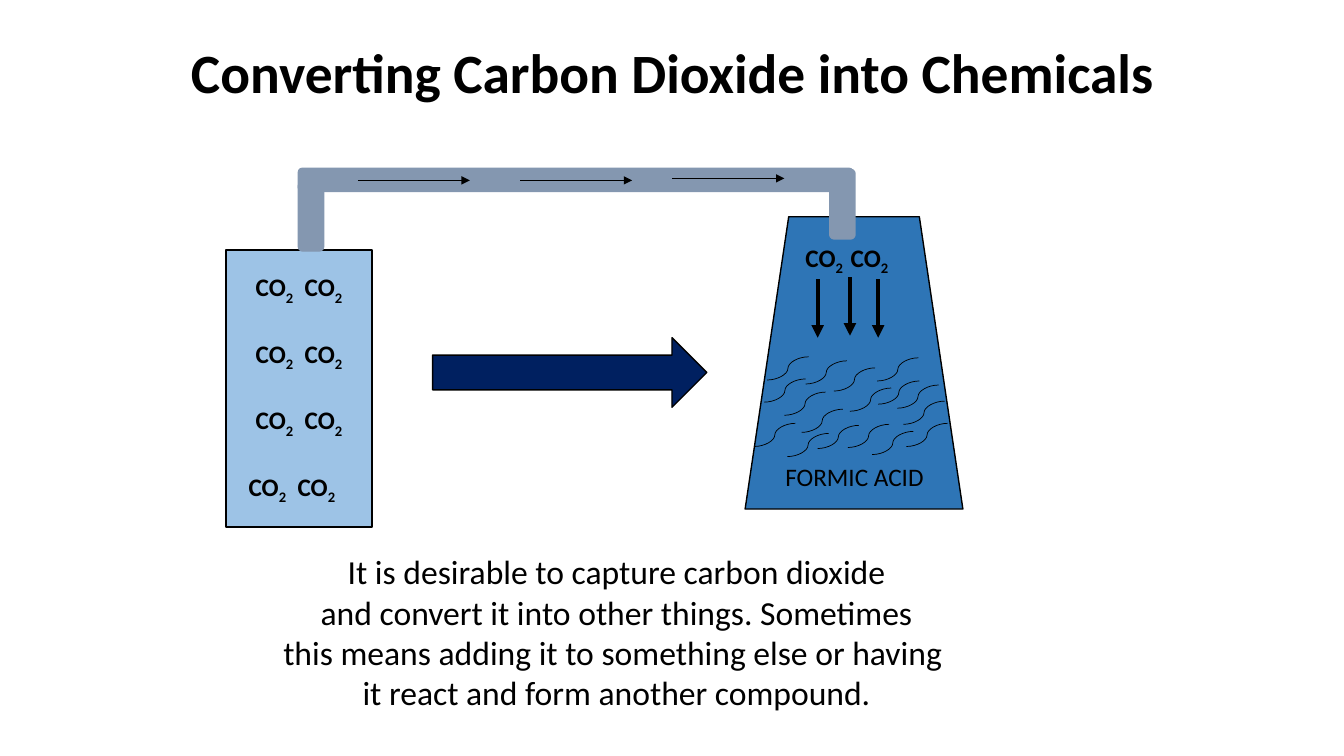
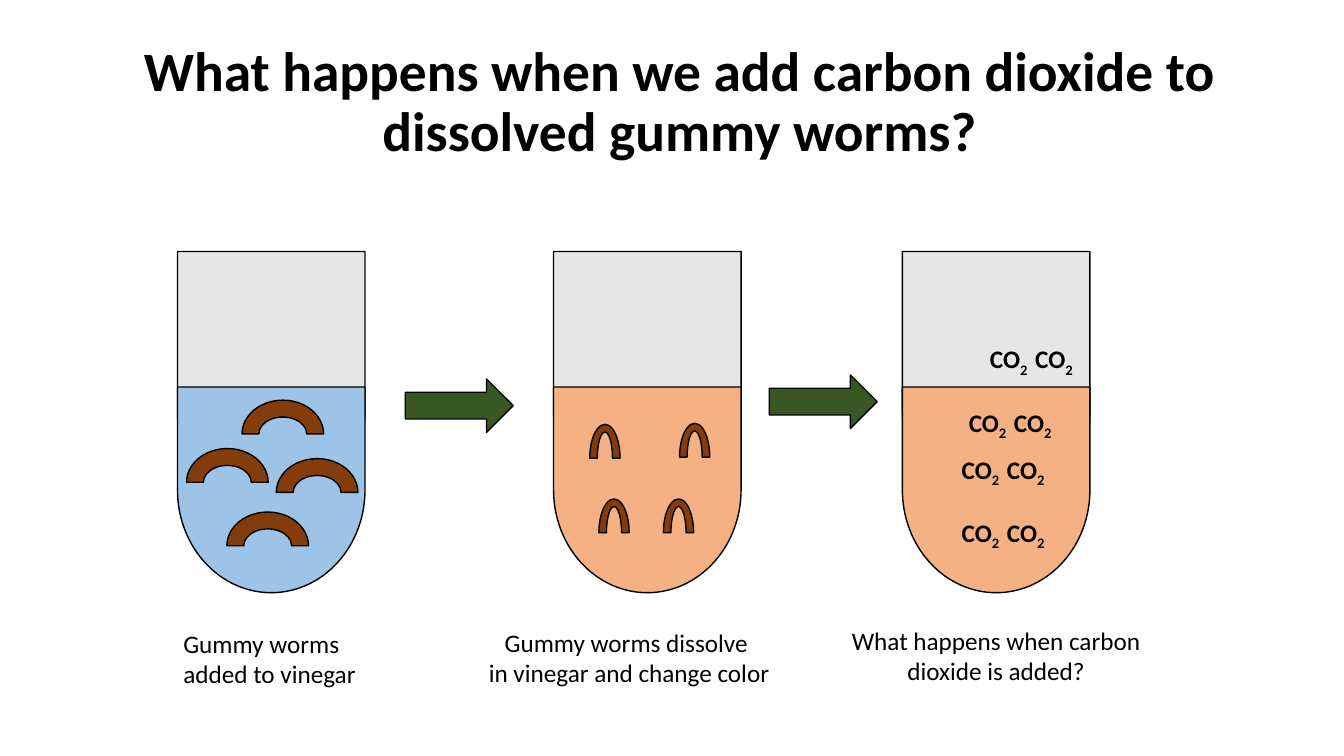
import dataclasses

import lxml.etree
import pptx
import pptx.dml.color
import pptx.enum.shapes
import pptx.enum.text
import pptx.oxml.ns
import pptx.util

Inches = pptx.util.Inches
Pt = pptx.util.Pt
SHAPE = pptx.enum.shapes.MSO_SHAPE
CONNECTOR = pptx.enum.shapes.MSO_CONNECTOR
ALIGN = pptx.enum.text.PP_ALIGN
ANCHOR = pptx.enum.text.MSO_ANCHOR


@dataclasses.dataclass(frozen=True)
class Theme:
    font: str = "Calibri"
    title_size: float = 39.6
    body_size: float = 24
    label_size: float = 18
    ink: str = "000000"
    light_blue: str = "9DC3E6"
    beaker_blue: str = "2E75B6"
    navy: str = "002060"
    pipe: str = "8497B0"
    glass: str = "E7E6E6"
    orange: str = "F4B183"
    worm: str = "843C0B"
    green: str = "385723"
    outline: float = 1
    thin: float = 0.5
    thick: float = 3


THEME = Theme()


def rgb(color):
    return pptx.dml.color.RGBColor.from_string(color)


# Text
def style_run(run, size, bold=False):
    run.font.name = THEME.font
    run.font.size = Pt(size)
    run.font.bold = bold
    run.font.color.rgb = rgb(THEME.ink)


def add_text(slide, left, top, width, height, lines, size, align=ALIGN.CENTER):
    box = slide.shapes.add_textbox(
        Inches(left), Inches(top), Inches(width), Inches(height))
    frame = box.text_frame
    frame.word_wrap = False
    frame.text = "\n".join(lines)
    for paragraph in frame.paragraphs:
        paragraph.alignment = align
        for run in paragraph.runs:
            style_run(run, size)
    return frame


def add_title(slide, left, top, text):
    frame = add_text(slide, left, top, 11.5, 0.7, [text], THEME.title_size)
    frame.word_wrap = True
    frame.vertical_anchor = ANCHOR.MIDDLE
    frame.paragraphs[0].line_spacing = 0.9
    style_run(frame.paragraphs[0].runs[0], THEME.title_size, bold=True)


def write_co2_pair(paragraph, gap_spacing):
    """Write two formulas; gap_spacing widens the space between them."""
    for piece in ("CO", "2", " ", "CO", "2"):
        run = paragraph.add_run()
        run.text = piece
        style_run(run, THEME.label_size, bold=True)
        properties = run._r.get_or_add_rPr()
        if piece == "2":
            properties.set("baseline", "-25000")
        elif piece == " ":
            properties.set("spc", str(int(gap_spacing * 100)))


def add_co2_label(slide, left, top):
    frame = add_text(slide, left, top, 1.09, 0.4, [""],
                     THEME.label_size, ALIGN.LEFT)
    write_co2_pair(frame.paragraphs[0], 1.3)


# Shapes and lines
def add_block(slide, kind, left, top, width, height, fill,
              line=THEME.ink, rotation=0):
    block = slide.shapes.add_shape(
        kind, Inches(left), Inches(top), Inches(width), Inches(height))
    block.shadow.inherit = False
    block.fill.solid()
    block.fill.fore_color.rgb = rgb(fill)
    block.line.color.rgb = rgb(line)
    block.line.width = Pt(THEME.outline)
    block.rotation = rotation
    return block


def add_line(slide, kind, start, end, width, arrow=False):
    line = slide.shapes.add_connector(
        kind, *(Inches(value) for value in (*start, *end)))
    line.line.color.rgb = rgb(THEME.ink)
    line.line.width = Pt(width)
    qn = pptx.oxml.ns.qn
    if arrow:
        outline = line.line._get_or_add_ln()
        lxml.etree.SubElement(outline, qn("a:tailEnd"), type="triangle")
    lxml.etree.SubElement(line._element.spPr, qn("a:effectLst"))


def add_tank(slide):
    tank = add_block(slide, SHAPE.RECTANGLE, 2.24, 2.48, 1.45, 2.75,
                     THEME.light_blue)
    frame = tank.text_frame
    frame.vertical_anchor = ANCHOR.MIDDLE
    for row in range(4):
        paragraph = frame.add_paragraph() if row else frame.paragraphs[0]
        paragraph.alignment = ALIGN.CENTER
        if row:
            paragraph.space_before = Pt(23)
        write_co2_pair(paragraph, 4)
    # The lowest pair sits a little to the left
    paragraph._p.get_or_add_pPr().set("marR", str(Inches(0.14)))


def add_tube(slide, center, liquid):
    """Stand a round-bottomed tube upright and fill its lower part."""
    width = 1.86
    for length, middle, color in ((3.11, 4.05, THEME.glass),
                                  (2.04, 4.86, liquid)):
        add_block(slide, SHAPE.FLOWCHART_DELAY, center - length / 2,
                  middle - width / 2, length, width, color, rotation=90)


def add_worms(slide, width, places):
    for left, top in places:
        add_block(slide, SHAPE.BLOCK_ARC, left, top, width, 0.67, THEME.worm)


def build_conversion_slide(slide):
    add_title(slide, 0.92, 0.4, "Converting Carbon Dioxide into Chemicals")

    # Tank, process arrow and beaker
    add_tank(slide)
    add_block(slide, SHAPE.RIGHT_ARROW, 4.29, 3.35, 2.72, 0.69, THEME.navy)
    add_block(slide, SHAPE.FLOWCHART_MANUAL_OPERATION, 7.39, 2.15, 2.16, 2.9,
              THEME.beaker_blue, rotation=180)

    # Ripples in the liquid
    ripples = ((7.58, 3.76), (7.78, 3.89), (7.95, 4.06), (7.99, 3.58),
               (8.11, 4.22), (8.43, 3.85), (8.71, 3.78), (8.96, 3.98),
               (8.99, 4.2), (7.48, 4.2), (7.81, 4.3), (8.41, 4.21),
               (8.65, 4.28), (8.27, 3.65), (7.61, 3.54), (8.7, 3.55),
               (8.9, 3.82))
    for left, top in ripples:
        add_line(slide, CONNECTOR.CURVE, (left + 0.41, top),
                 (left, top + 0.23), THEME.thin)
    add_text(slide, 7.69, 4.53, 1.59, 0.4, ["FORMIC ACID"],
             THEME.label_size, ALIGN.LEFT)

    # Pipe
    for place in ((2.96, 1.8, 0.25, 0.69), (2.96, 1.67, 5.5, 0.23),
                  (8.23, 1.68, 0.25, 0.69)):
        add_block(slide, SHAPE.ROUNDED_RECTANGLE, *place, THEME.pipe,
                  line=THEME.pipe)
    add_co2_label(slide, 7.89, 2.35)

    # Gas flow along the pipe and down into the beaker
    for left, top in ((3.55, 1.79), (5.16, 1.79), (6.67, 1.77)):
        add_line(slide, CONNECTOR.STRAIGHT, (left, top), (left + 1.11, top),
                 THEME.thin, arrow=True)
    for left, top in ((8.11, 2.77), (8.43, 2.75), (8.71, 2.77)):
        add_line(slide, CONNECTOR.STRAIGHT, (left, top), (left, top + 0.58),
                 THEME.thick, arrow=True)

    add_text(slide, 2.68, 5.42, 6.87, 1.72, [
        "It is desirable to capture carbon dioxide",
        "and convert it into other things. Sometimes",
        "this means adding it to something else or having ",
        "it react and form another compound.",
    ], THEME.body_size)


def build_worm_slide(slide):
    add_title(slide, 0.99, 0.68, "What happens when we add carbon dioxide to "
              "dissolved gummy worms?")

    # Tubes and their contents
    for center, liquid in ((2.69, THEME.light_blue), (6.42, THEME.orange),
                           (9.88, THEME.orange)):
        add_tube(slide, center, liquid)
    add_worms(slide, 0.81,
              ((1.85, 4.45), (2.25, 5.08), (2.74, 4.55), (2.4, 3.97)))
    add_worms(slide, 0.3,
              ((5.85, 4.21), (6.74, 4.2), (5.94, 4.95), (6.58, 4.95)))
    for place in ((9.72, 3.36), (9.51, 3.99), (9.44, 4.46), (9.44, 5.08)):
        add_co2_label(slide, *place)

    # Step arrows
    for left, top in ((4.02, 3.76), (7.63, 3.72)):
        add_block(slide, SHAPE.RIGHT_ARROW, left, top, 1.07, 0.53,
                  THEME.green)

    # Captions
    captions = (
        (1.72, 6.18, 1.93, ALIGN.LEFT,
         ["Gummy worms", "added to vinegar"]),
        (4.71, 6.17, 3.06, ALIGN.CENTER,
         ["Gummy worms dissolve ", "in vinegar and change color"]),
        (8.33, 6.15, 3.1, ALIGN.CENTER,
         ["What happens when carbon", "dioxide is added?"]),
    )
    for left, top, width, align, lines in captions:
        add_text(slide, left, top, width, 0.71, lines, THEME.label_size, align)


def main():
    deck = pptx.Presentation()
    deck.slide_width = Inches(13.33)
    deck.slide_height = Inches(7.5)
    blank = deck.slide_layouts[6]
    for build in (build_conversion_slide, build_worm_slide):
        build(deck.slides.add_slide(blank))
    deck.save("out.pptx")


if __name__ == "__main__":
    main()
